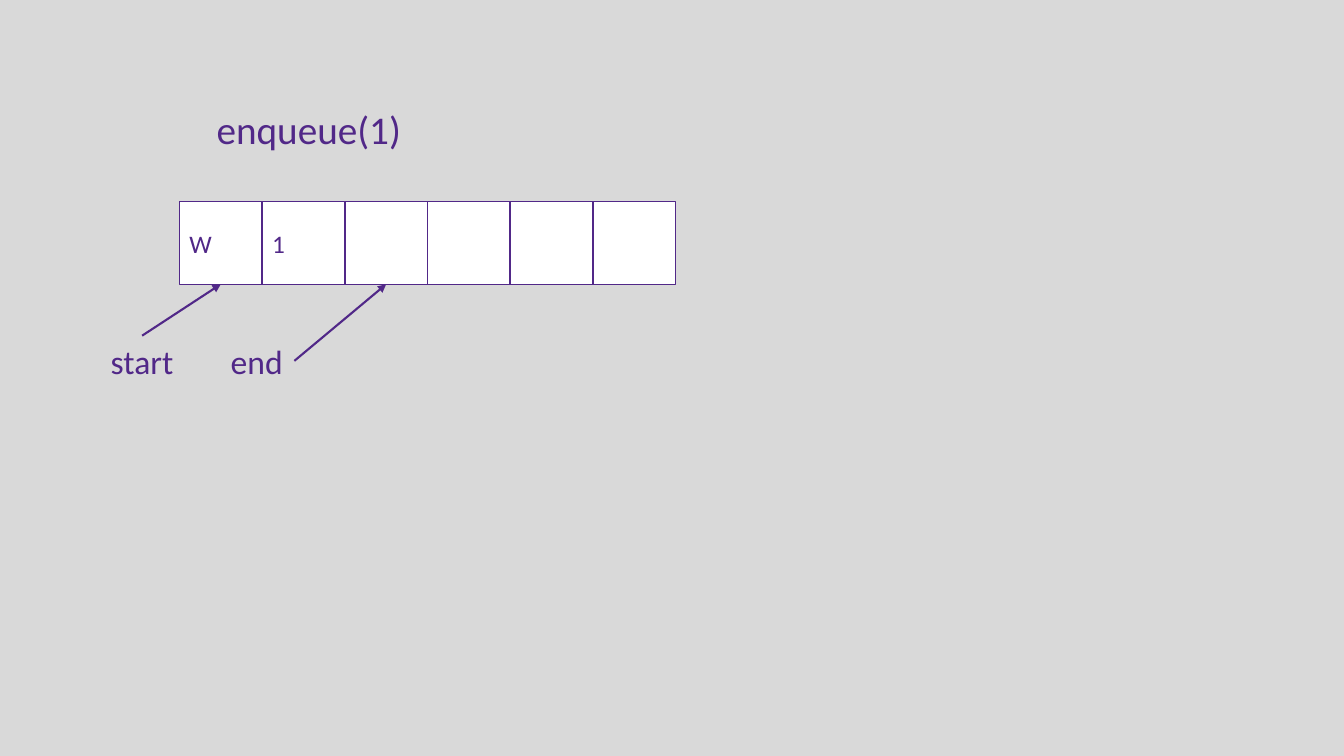
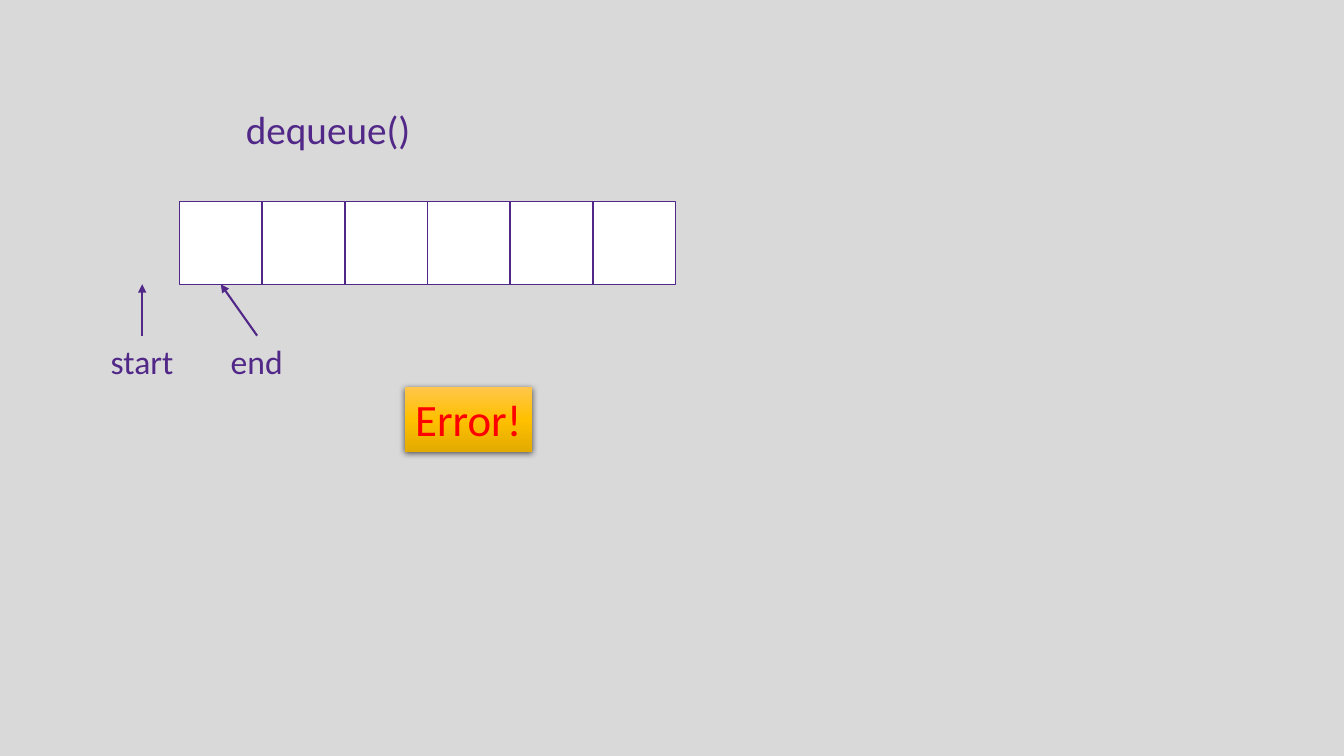
from copy import deepcopy

from lxml.etree import SubElement
from pptx import Presentation
from pptx.dml.color import RGBColor as RGB
from pptx.enum.shapes import MSO_CONNECTOR as LINE, MSO_SHAPE as SHAPE
from pptx.enum.text import MSO_ANCHOR as ANCHOR, MSO_AUTO_SIZE as AUTO, PP_ALIGN as ALIGN
from pptx.oxml.ns import qn
from pptx.util import Pt

PX = 9144
FONT = "Calibri"
INK = {
    "back": "D9D9D9",
    "main": "512888",
    "cell": "FFFFFF",
    "error": "FF0000",
    "black": "000000",
    "light": "FFC64B",
    "gold": "FFC000",
    "dark": "E3AB00",
}
RGBS = {name: RGB.from_string(code) for name, code in INK.items()}

LEFT, TOP, SIDE = 178, 200, 82
BASE = TOP + SIDE
LOW = 333

SLIDES = [
    {
        "title": ("enqueue(1)", 205, 209),
        "cells": ["W", "1", "", "", "", ""],
        "arrows": [(141, LOW, 219, BASE), (292, 358, 383, BASE)],
        "error": False,
    },
    {
        "title": ("dequeue()", 234, 189),
        "cells": [""] * 6,
        "arrows": [(141, LOW, 141, BASE), (255, LOW, 219, BASE)],
        "error": True,
    },
]


def write(shape, text, size, ink="main"):
    frame = shape.text_frame
    frame.text = text
    font = frame.paragraphs[0].runs[0].font
    font.name = FONT
    font.size = Pt(size)
    font.color.rgb = RGBS[ink]


def label(slide, text, size, *spot):
    box = slide.shapes.add_textbox(*(v * PX for v in spot))
    box.text_frame.word_wrap = False
    box.text_frame.auto_size = AUTO.SHAPE_TO_FIT_TEXT
    write(box, text, size)


deck = Presentation()
deck.slide_width = 1333 * PX
deck.slide_height = 750 * PX

for plan in SLIDES:
    slide = deck.slides.add_slide(deck.slide_layouts[6])
    slide.background.fill.solid()
    slide.background.fill.fore_color.rgb = RGBS["back"]

    title, left, width = plan["title"]
    label(slide, title, 28, left, 100, width, 57)

    if plan["error"]:
        error = slide.shapes.add_shape(SHAPE.RECTANGLE, 402 * PX, 384 * PX, 126 * PX, 64 * PX)
        error.line.fill.background()
        error.fill.gradient()
        error.fill.gradient_angle = 270
        stops = error._element.spPr.find(qn("a:gradFill")).find(qn("a:gsLst"))
        stops.append(deepcopy(stops[0]))
        for stop, place, ink in zip(error.fill.gradient_stops, (0, 0.5, 1), ("light", "gold", "dark")):
            stop.position = place
            stop.color.rgb = RGBS[ink]

        error.shadow.inherit = False
        effects = error._element.spPr.find(qn("a:effectLst"))
        shade = SubElement(
            effects, qn("a:outerShdw"), blurRad=str(Pt(4.5)), dist=str(Pt(1.5)),
            dir="5400000", algn="ctr", rotWithShape="0",
        )
        tone = SubElement(shade, qn("a:srgbClr"), val=INK["black"])
        SubElement(tone, qn("a:alpha"), val="63000")

        write(error, "Error!", 32, "error")
        error.text_frame.word_wrap = False
        error.text_frame.auto_size = AUTO.SHAPE_TO_FIT_TEXT
        error.text_frame.vertical_anchor = ANCHOR.TOP
        error.text_frame.paragraphs[0].alignment = ALIGN.LEFT

    for spot, value in reversed(list(enumerate(plan["cells"]))):
        cell = slide.shapes.add_shape(
            SHAPE.RECTANGLE, (LEFT + spot * SIDE) * PX, TOP * PX, SIDE * PX, SIDE * PX
        )
        cell.shadow.inherit = False
        cell.fill.solid()
        cell.fill.fore_color.rgb = RGBS["cell"]
        cell.line.color.rgb = RGBS["main"]
        cell.line.width = Pt(1)
        if value:
            write(cell, value, 18)

    label(slide, "start", 24, 100, LOW, 83, 50)
    label(slide, "end", 24, 219, LOW, 72, 50)

    for ends in plan["arrows"]:
        arrow = slide.shapes.add_connector(LINE.STRAIGHT, *(v * PX for v in ends))
        arrow.line.color.rgb = RGBS["main"]
        arrow.line.width = Pt(1.5)
        SubElement(arrow.line._get_or_add_ln(), qn("a:tailEnd"), type="triangle")
        SubElement(arrow._element.spPr, qn("a:effectLst"))

deck.save("out.pptx")
